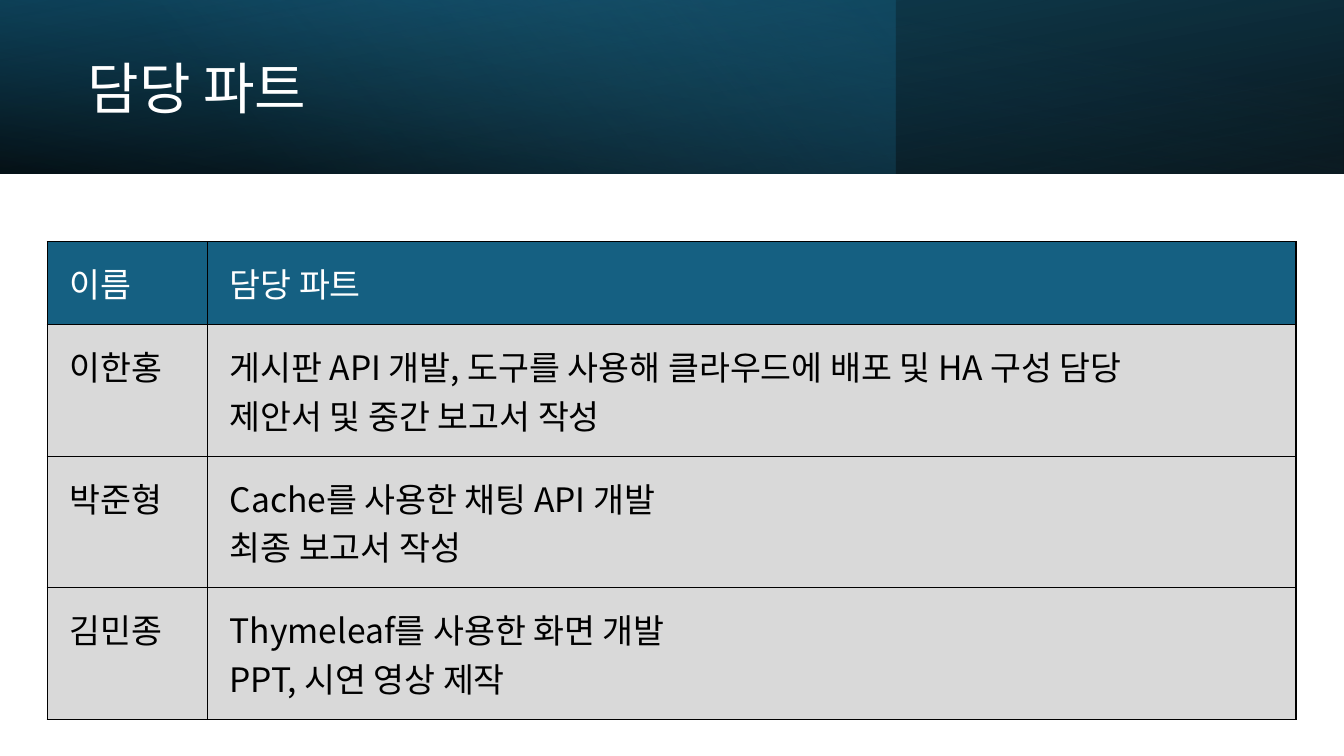
import pptx
import pptx.dml.color
import pptx.enum.shapes
import pptx.enum.text
import pptx.oxml
import pptx.oxml.ns
import pptx.util

Pt = pptx.util.Pt
qn = pptx.oxml.ns.qn
NS = pptx.oxml.ns.nsdecls("a")
FACE = "Noto Sans CJK KR"

# Content
TITLE = "담당 파트"
ROWS = [
    ("이름", "담당 파트"),
    ("이한홍", "게시판 API 개발, 도구를 사용해 클라우드에 배포 및 HA 구성 담당\n"
              "제안서 및 중간 보고서 작성"),
    ("박준형", "Cache를 사용한 채팅 API 개발\n최종 보고서 작성"),
    ("김민종", "Thymeleaf를 사용한 화면 개발\nPPT, 시연 영상 제작"),
]

# Header bands: width, turn, mirrored, angle, stops (place, colour, opacity)
BANDS = [
    (960, 180, True, 100, [(0, "000000", 96), (100, "104862", 100)]),
    (640, 0, False, 140, [(0, "156082", 41), (74, "46B1E1", 0)]),
    (960, 0, True, 260, [(0, "000000", 63), (78, "156082", 15)]),
]
BAND = 124
COLS = [114.5, 777.5]
HEAD, BODY = 57.4, 85.8


def rgb(code):
    return pptx.dml.color.RGBColor.from_string(code)


def style(par, size, color):
    font = par.font
    font.name, font.size, font.bold = FACE, Pt(size), False
    font.color.rgb = rgb(color)
    east = pptx.oxml.parse_xml(f'<a:ea {NS} typeface="{FACE}"/>')
    par._p.pPr.find(qn("a:defRPr")).append(east)
    for run in par.runs:
        run.font.size, run.font.bold = Pt(size), False
        run.font.name = FACE
        run.font.color.rgb = rgb(color)
        run._r.rPr.append(pptx.oxml.parse_xml(f'<a:ea {NS} typeface="{FACE}"/>'))


def shade(shape, angle, stops):
    marks = "".join(
        f'<a:gs pos="{place * 1000}"><a:srgbClr val="{color}">'
        f'<a:alpha val="{alpha * 1000}"/></a:srgbClr></a:gs>'
        for place, color, alpha in stops)
    grad = pptx.oxml.parse_xml(
        f'<a:gradFill {NS} rotWithShape="1"><a:gsLst>{marks}</a:gsLst>'
        f'<a:lin ang="{angle * 60000}" scaled="0"/></a:gradFill>')
    shape._element.spPr.find(qn("a:prstGeom")).addnext(grad)


def edge(cell):
    props = cell._tc.get_or_add_tcPr()
    for spot, side in enumerate("LRTB"):
        props.insert(spot, pptx.oxml.parse_xml(
            f'<a:ln{side} {NS} w="12700"><a:solidFill><a:srgbClr val="000000"/>'
            f'</a:solidFill></a:ln{side}>'))


def main():
    deck = pptx.Presentation()
    deck.slide_width, deck.slide_height = Pt(960), Pt(540)
    slide = deck.slides.add_slide(deck.slide_layouts[5])
    shapes = slide.shapes

    # Header bands
    for width, turn, flip, angle, stops in BANDS:
        band = shapes.add_shape(pptx.enum.shapes.MSO_SHAPE.RECTANGLE,
                                0, 0, Pt(width), Pt(BAND))
        band.shadow.inherit = False
        band.line.fill.background()
        band.rotation = turn
        if flip:
            band._element.spPr.xfrm.set("flipH", "1")
        shade(band, angle, stops)

    # Title, brought in front of the bands
    title = shapes.title
    title.left, title.top = Pt(55.6), Pt(19.6)
    title.width, title.height = Pt(556), Pt(91.2)
    shapes._spTree.append(title._element)
    frame = title.text_frame
    frame.text = TITLE
    frame.word_wrap = True
    frame.auto_size = pptx.enum.text.MSO_AUTO_SIZE.NONE
    frame.vertical_anchor = pptx.enum.text.MSO_ANCHOR.MIDDLE
    par = frame.paragraphs[0]
    par.alignment = pptx.enum.text.PP_ALIGN.LEFT
    par.line_spacing, par.space_after = 0.9, Pt(6)
    style(par, 40, "FFFFFF")

    # Table of duties
    tall = HEAD + BODY * (len(ROWS) - 1)
    grid = shapes.add_table(len(ROWS), len(COLS), Pt(33.8), Pt(172.6),
                            Pt(sum(COLS)), Pt(tall)).table
    grid.horz_banding = False
    for col, width in zip(grid.columns, COLS):
        col.width = Pt(width)
    for r, words in enumerate(ROWS):
        head = r == 0
        grid.rows[r].height = Pt(HEAD if head else BODY)
        for c, text in enumerate(words):
            cell = grid.cell(r, c)
            cell.text = text
            cell.margin_left = Pt(15.8)
            cell.margin_right = cell.margin_top = cell.margin_bottom = Pt(12.2)
            cell.vertical_anchor = (pptx.enum.text.MSO_ANCHOR.MIDDLE if head
                                    else pptx.enum.text.MSO_ANCHOR.TOP)
            cell.fill.solid()
            cell.fill.fore_color.rgb = rgb("156082" if head else "D9D9D9")
            edge(cell)
            for par in cell.text_frame.paragraphs:
                style(par, 24, "FFFFFF" if head else "000000")

    deck.save("out.pptx")


if __name__ == "__main__":
    main()
